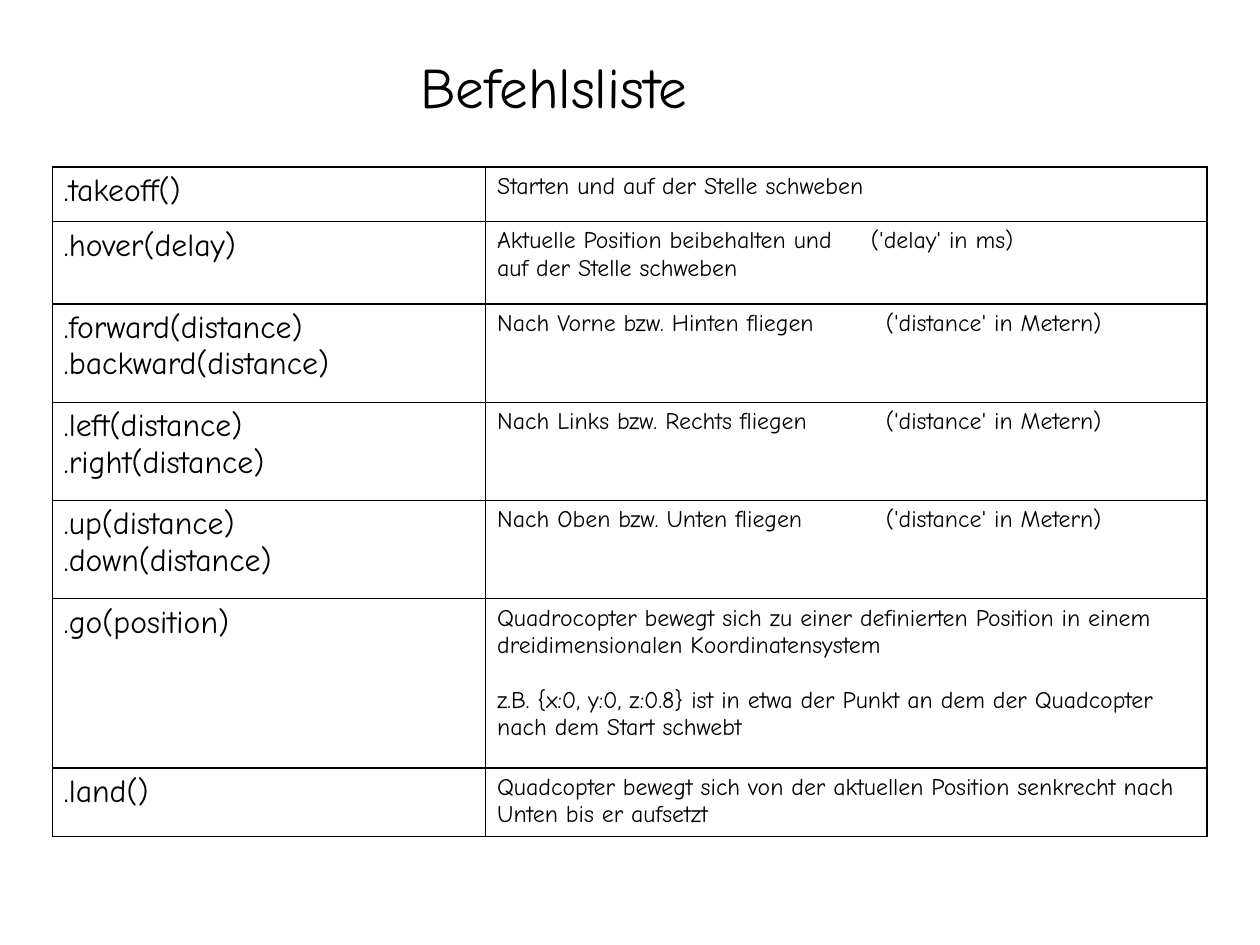
from lxml.etree import SubElement
from pptx import Presentation
from pptx.dml.color import RGBColor
from pptx.enum.text import MSO_ANCHOR
from pptx.oxml.ns import qn
from pptx.util import Inches, Pt

COLORS = {"ink": "000000", "paper": "FFFFFF"}
FONT = "Comic Neue"
CM_PER_INCH = 2.54


def write_text(tf, text, size, color="ink", before=0, after=0, tab=None):
    tf.word_wrap = True
    for i, line in enumerate(text.split("\n")):
        p = tf.add_paragraph() if i else tf.paragraphs[0]
        p.space_before = Pt(before if i else 0)
        p.space_after = Pt(after)
        if tab:
            tabs = SubElement(p._p.get_or_add_pPr(), qn("a:tabLst"))
            SubElement(tabs, qn("a:tab"), pos=str(Inches(tab)), algn="l")
        r = p.add_run()
        r.text = line
        r.font.name = FONT
        r.font.size = Pt(size)
        r.font.color.rgb = RGBColor.from_string(COLORS[color])


class SlideBuilder:
    def __init__(self, slide):
        self.slide = slide
        self.title_size = 36
        self.command_size = 20
        self.description_size = 15
        self.border_width = 1

    def title(self, text, x, y, w, h):
        sp = self.slide.shapes.add_textbox(Inches(x), Inches(y), Inches(w), Inches(h))
        sp.text_frame.vertical_anchor = MSO_ANCHOR.TOP
        write_text(sp.text_frame, text, self.title_size, after=8.5)

    def style_cell(self, cell):
        tcPr = cell._tc.get_or_add_tcPr()
        for side in ("lnL", "lnR", "lnT", "lnB"):
            ln = SubElement(tcPr, qn(f"a:{side}"), w=str(Pt(self.border_width)))
            fill = SubElement(ln, qn("a:solidFill"))
            SubElement(fill, qn("a:srgbClr"), val=COLORS["ink"])
        cell.fill.solid()
        cell.fill.fore_color.rgb = RGBColor.from_string(COLORS["paper"])

    def command_table(self, commands, x, y, widths):
        heights = [height for height, *_ in commands]
        table = self.slide.shapes.add_table(
            len(commands), len(widths), Inches(x), Inches(y),
            Inches(sum(widths)), Inches(sum(heights))).table
        table.first_row = table.horz_banding = False
        for column, width in zip(table.columns, widths):
            column.width = Inches(width)
        for row, (height, command, description, style) in zip(table.rows, commands):
            row.height = Inches(height)
            for cell in row.cells:
                self.style_cell(cell)
            name_cell, description_cell = row.cells
            write_text(name_cell.text_frame, command, self.command_size)
            write_text(description_cell.text_frame, description,
                       self.description_size, **style)


MOVES = [
    (".forward(distance)\n.backward(distance)", "Nach Vorne bzw. Hinten fliegen"),
    (".left(distance)\n.right(distance)", "Nach Links bzw. Rechts fliegen"),
    (".up(distance)\n.down(distance)", "Nach Oben bzw. Unten fliegen"),
]
COMMANDS = [
    (0.48, ".takeoff()", "Starten und auf der Stelle schweben", {}),
    (0.72, ".hover(delay)",
     "Aktuelle Position beibehalten und\t('delay' in ms)\nauf der Stelle schweben",
     {"tab": 3.27}),
    *[(0.86, command, f"{text}\t('distance' in Metern)", {"tab": 3.4})
      for command, text in MOVES],
    (1.48, ".go(position)",
     "Quadrocopter bewegt sich zu einer definierten Position in einem "
     "dreidimensionalen Koordinatensystem\n"
     "z.B. {x:0, y:0, z:0.8} ist in etwa der Punkt an dem der Quadcopter "
     "nach dem Start schwebt", {"before": 17.3}),
    (0.59, ".land()",
     "Quadcopter bewegt sich von der aktuellen Position senkrecht nach "
     "Unten bis er aufsetzt", {}),
]

prs = Presentation()
prs.slide_width = Inches(28 / CM_PER_INCH)
prs.slide_height = Inches(21 / CM_PER_INCH)
s = SlideBuilder(prs.slides.add_slide(prs.slide_layouts[6]))
s.title("Befehlsliste", 3.58, 0.4, 7.1, 0.85)
s.command_table(COMMANDS, 0.46, 1.46, [3.79, 6.31])
prs.save("out.pptx")
